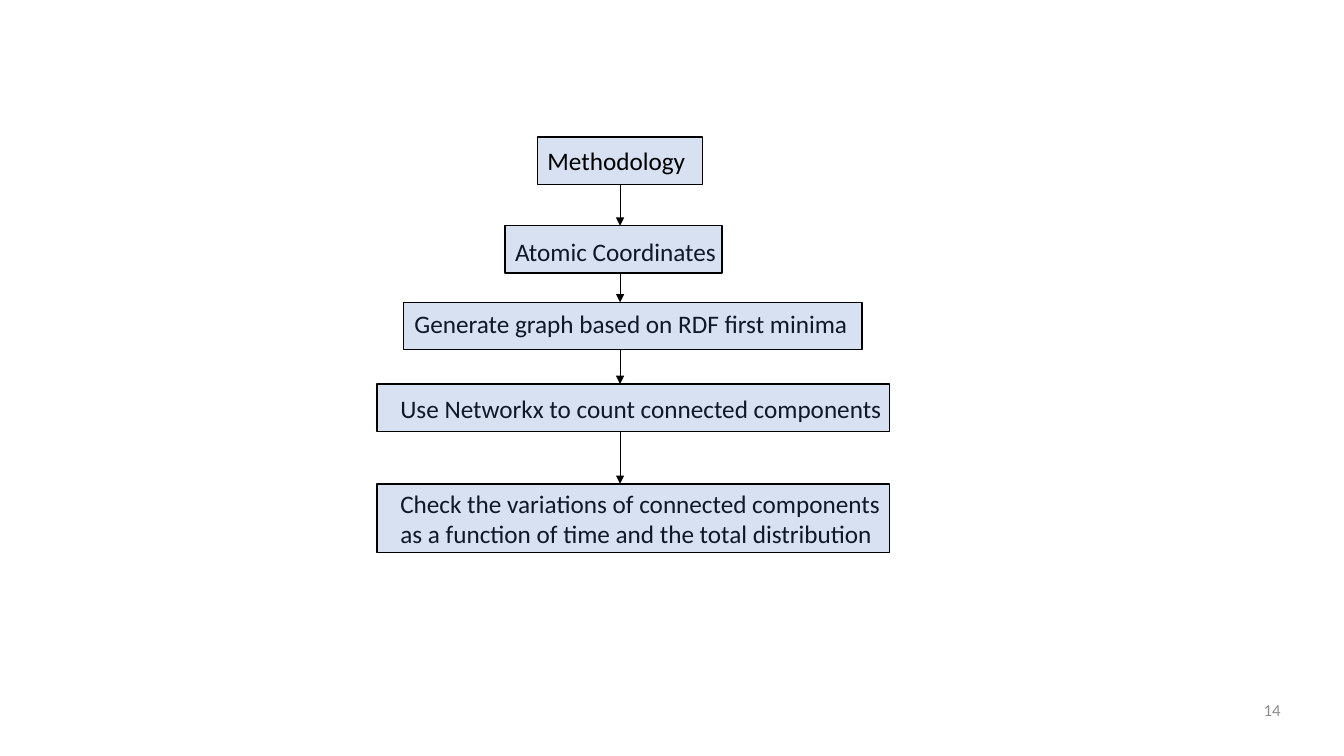
from pptx import Presentation
from pptx.dml.color import RGBColor
from pptx.enum.shapes import MSO_CONNECTOR, MSO_SHAPE
from pptx.enum.text import MSO_ANCHOR, PP_ALIGN
from pptx.oxml.ns import qn
from pptx.util import Inches, Pt
from lxml.etree import SubElement

# Content: box (left, top, width, height), text start (left, top), colour, lines
STEPS = [
    ((5.33, 1.36, 1.64, 0.47), (5.43, 1.44), "title", ["Methodology"]),
    ((5.01, 2.24, 2.15, 0.47), (5.11, 2.34), "step", ["Atomic Coordinates"]),
    ((4, 3, 4.55, 0.47), (4.11, 3.06), "step",
     ["Generate graph based on RDF first minima"]),
    ((3.74, 3.81, 5.08, 0.47), (3.97, 3.9), "step",
     ["Use Networkx to count connected components"]),
    ((3.74, 4.8, 5.08, 0.68), (3.97, 4.84), "step",
     ["Check the variations of connected components",
      "as a function of time and the total distribution"]),
]
ARROW_X = 6.15
PAGE_NUMBER = "14"

THEME = {
    "font": "Calibri",
    "fill": "4472C4", "fill_alpha": 21, "line": "000000",
    "title": "000000", "step": "0E1829", "number": "8C8C8C",
    "text_size": 18, "number_size": 12,
    "box_line": 1, "arrow_line": 0.5,
}


def colour(name):
    return RGBColor.from_string(THEME[name])


def add_text(para, text, size, colour_name):
    span = para.add_run()
    span.text = text
    span.font.name = THEME["font"]
    span.font.size = Pt(THEME[size])
    span.font.color.rgb = colour(colour_name)


def add_step(page, place, start, colour_name, lines):
    left, top, width, height = place
    box = page.shapes.add_shape(MSO_SHAPE.RECTANGLE, *map(Inches, place))
    box.shadow.inherit = False
    box.fill.solid()
    box.fill.fore_color.rgb = colour("fill")
    tint = box._element.spPr.find(qn("a:solidFill"))[0]
    SubElement(tint, qn("a:alpha"), val=str(THEME["fill_alpha"] * 1000))
    box.line.color.rgb = colour("line")
    box.line.width = Pt(THEME["box_line"])

    frame = box.text_frame
    frame.word_wrap = True
    frame.vertical_anchor = MSO_ANCHOR.TOP
    frame.margin_left = Inches(start[0] - left)
    frame.margin_top = Inches(start[1] - top)
    frame.margin_right = frame.margin_bottom = 0
    for index, line in enumerate(lines):
        para = frame.add_paragraph() if index else frame.paragraphs[0]
        para.alignment = PP_ALIGN.LEFT
        add_text(para, line, "text_size", colour_name)


def add_arrow(page, x, start, end):
    arrow = page.shapes.add_connector(
        MSO_CONNECTOR.STRAIGHT, Inches(x), Inches(start), Inches(x), Inches(end))
    arrow.line.color.rgb = colour("line")
    arrow.line.width = Pt(THEME["arrow_line"])
    SubElement(arrow.line._get_or_add_ln(), qn("a:tailEnd"), type="triangle")
    SubElement(arrow._element.spPr, qn("a:effectLst"))


def main():
    deck = Presentation()
    deck.slide_width, deck.slide_height = Inches(13.33), Inches(7.5)
    page = deck.slides.add_slide(deck.slide_layouts[6])

    # Flowchart boxes
    for step in STEPS:
        add_step(page, *step)

    # Arrows from each box down to the next
    for (upper, *_), (lower, *_) in zip(STEPS, STEPS[1:]):
        add_arrow(page, ARROW_X, upper[1] + upper[3], lower[1])

    # Page number
    box = page.shapes.add_textbox(Inches(9.8), Inches(6.84), Inches(3), Inches(0.4))
    box.text_frame.word_wrap = True
    box.text_frame.vertical_anchor = MSO_ANCHOR.MIDDLE
    para = box.text_frame.paragraphs[0]
    para.alignment = PP_ALIGN.RIGHT
    add_text(para, PAGE_NUMBER, "number_size", "number")

    deck.save("out.pptx")


if __name__ == "__main__":
    main()
